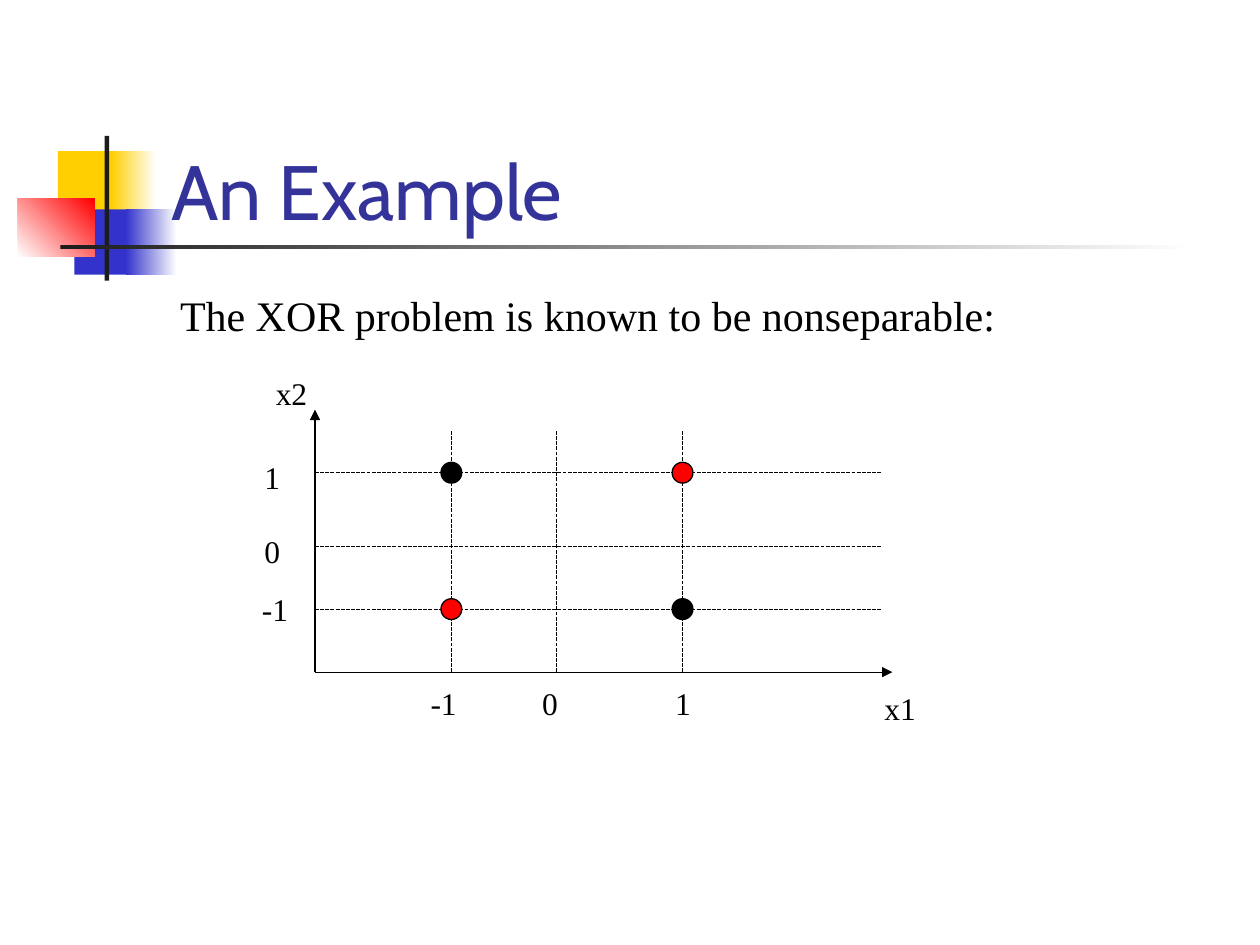
from dataclasses import dataclass

from lxml import etree
from pptx import Presentation
from pptx.dml.color import RGBColor
from pptx.enum.dml import MSO_LINE
from pptx.enum.shapes import MSO_CONNECTOR, MSO_SHAPE
from pptx.enum.text import MSO_ANCHOR
from pptx.oxml.ns import qn
from pptx.util import Cm, Pt

RECT, OVAL = MSO_SHAPE.RECTANGLE, MSO_SHAPE.OVAL
STRAIGHT = MSO_CONNECTOR.STRAIGHT
TOP, BOTTOM = MSO_ANCHOR.TOP, MSO_ANCHOR.BOTTOM
FINE_DASH = MSO_LINE.SQUARE_DOT


@dataclass(frozen=True)
class Theme:
    yellow: str = "FFCF01"
    blue: str = "3333CC"
    red: str = "FF0000"
    dark: str = "1C1C1C"
    white: str = "FFFFFF"
    black: str = "000000"
    title: str = "333399"
    title_font: str = "Cabin"
    body_font: str = "Times New Roman"
    title_size: int = 44
    body_size: int = 24
    label_size: int = 18
    line_width: float = 0.75


THEME = Theme()


def rgb(color):
    return RGBColor.from_string(color)


def add_filled(slide, kind, x, y, w, h, color, end=None, angle=0):
    """Add a borderless shape, with a gradient when an end colour is given."""
    s = slide.shapes.add_shape(kind, Cm(x), Cm(y), Cm(w), Cm(h))
    s.shadow.inherit = False
    s.line.fill.background()
    if end:
        s.fill.gradient()
        s.fill.gradient_angle = angle
        for stop, value in zip(s.fill.gradient_stops, (color, end)):
            stop.color.rgb = rgb(value)
    else:
        s.fill.solid()
        s.fill.fore_color.rgb = rgb(color)
    return s


def add_text(slide, text, x, y, w, h, size, font=THEME.body_font,
             color=THEME.black, anchor=TOP, tabs=()):
    tf = slide.shapes.add_textbox(Cm(x), Cm(y), Cm(w), Cm(h)).text_frame
    tf.word_wrap = True
    tf.vertical_anchor = anchor
    p = tf.paragraphs[0]
    p.text = text
    if tabs:
        tab_list = etree.SubElement(p._p.get_or_add_pPr(), qn("a:tabLst"))
        for pos in tabs:
            etree.SubElement(tab_list, qn("a:tab"), pos=str(Cm(pos)), algn="l")
    p.font.name = font
    p.font.size = Pt(size)
    p.font.color.rgb = rgb(color)


def add_line(slide, x1, y1, x2, y2, arrow=False, dash=None):
    c = slide.shapes.add_connector(STRAIGHT, Cm(x1), Cm(y1), Cm(x2), Cm(y2))
    c.line.color.rgb = rgb(THEME.black)
    c.line.width = Pt(THEME.line_width)
    if dash:
        c.line.dash_style = dash
    if arrow:
        etree.SubElement(c.line._get_or_add_ln(), qn("a:tailEnd"), type="triangle")
    etree.SubElement(c._element.spPr, qn("a:effectLst"))


def add_ornament(slide, x, y, w):
    """Overlapping colour blocks and the rule under the title."""
    t = THEME
    blocks = [
        (0.81, 0.31, 1.22, 1.32, t.yellow),
        (1.88, 0.31, 0.91, 1.32, t.yellow, t.white),
        (1.14, 1.48, 1.17, 1.32, t.blue),
        (2.18, 1.48, 1.02, 1.32, t.blue, t.white),
        (0, 1.27, 1.55, 1.17, t.white, t.red, 45),
        (1.75, 0, 0.09, 2.92, t.dark),
        (0.86, 2.2, w - 0.86, 0.09, t.dark, t.white),
    ]
    for dx, dy, bw, bh, *paint in blocks:
        add_filled(slide, RECT, x + dx, y + dy, bw, bh, *paint)


def add_plot(slide, x, y, w, h):
    """XOR points on a grid, with labelled axes."""
    cols = [x + 2.75, x + 4.87, x + 7.41]
    rows = [y + 1.27, y + 2.75, y + 4.02]
    bottom = y + h
    dot = 0.42

    # Axes
    add_line(slide, x, bottom, x + w, bottom, arrow=True)
    add_line(slide, x, bottom, x, y, arrow=True)

    # Grid
    for row in rows:
        add_line(slide, x, row, x + w - 0.21, row, dash=FINE_DASH)
    for col in cols:
        add_line(slide, col, bottom, col, y + 0.42, dash=FINE_DASH)

    # Points: equal signs are red, opposite signs black
    for i in (0, 2):
        for j in (0, 2):
            color = THEME.black if i == j else THEME.red
            s = add_filled(slide, OVAL, cols[i] - dot / 2, rows[j] - dot / 2,
                           dot, dot, color)
            s.line.color.rgb = rgb(THEME.black)
            s.line.width = Pt(THEME.line_width)

    # Axis names and tick labels
    labels = [
        ("x1", w - 0.41, h + 0.21, 1.2),
        ("x2", -1.04, -0.84, 1.2),
        ("1", -1.27, 0.84, 0.9),
        ("0", -1.27, 2.34, 0.9),
        ("-1", -1.32, 3.51, 1.1),
    ]
    for text, dx, dy, lw in labels:
        add_text(slide, text, x + dx, y + dy, lw, 1.02, THEME.label_size)
    add_text(slide, "-1\t0\t1", x + 2.08, bottom + 0.12, 5.9, 1.02,
             THEME.label_size, tabs=(2.25, 4.93))


def main():
    prs = Presentation()
    prs.slide_width, prs.slide_height = Cm(25.4), Cm(19.05)
    slide = prs.slides.add_slide(prs.slide_layouts[6])

    add_ornament(slide, 0.36, 2.74, 23.72)
    add_text(slide, "An Example", 3.2, 1.7, 21.64, 3.18, THEME.title_size,
             THEME.title_font, THEME.title, BOTTOM)
    add_text(slide, "The XOR problem is known to be nonseparable:",
             3.38, 5.72, 17.5, 1.27, THEME.body_size)
    add_plot(slide, 6.35, 8.26, 11.64, 5.29)

    prs.save("out.pptx")


if __name__ == "__main__":
    main()
